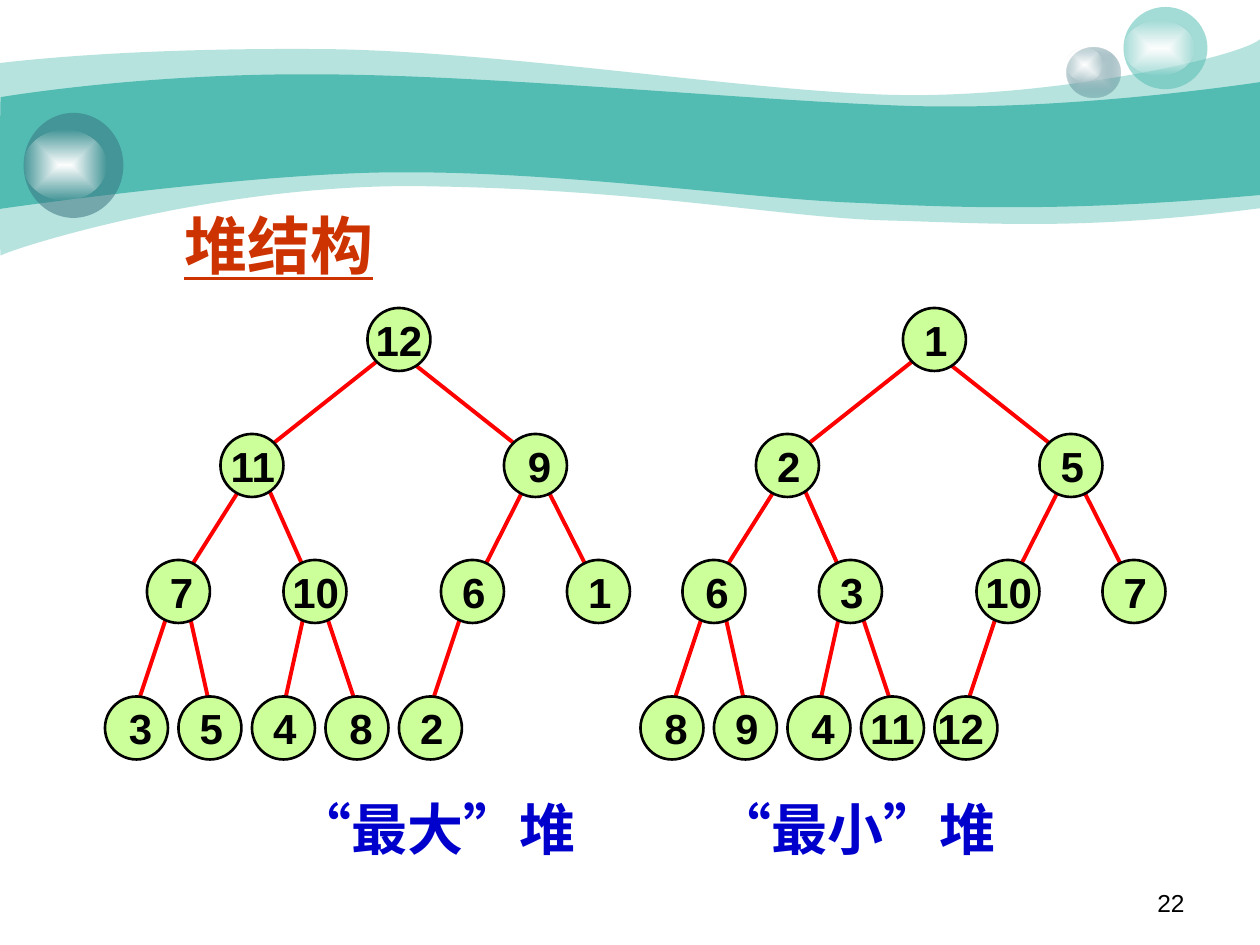
from dataclasses import dataclass

from lxml import etree
from pptx import Presentation
from pptx.dml.color import RGBColor
from pptx.enum import shapes, text
from pptx.oxml.ns import qn
from pptx.util import Emu, Pt

PX = 6350
CJK = "Noto Sans CJK SC"
NODE_SIZE = 72
LEVEL_TOPS = (352, 496, 640, 796)
NODES = (
    (420, 0), (252, 1), (576, 1),
    (168, 2), (324, 2), (504, 2), (648, 2),
    (120, 3), (204, 3), (288, 3), (372, 3), (456, 3),
)
EDGES = (
    (468, 412, 588, 507), (432, 412, 312, 507),
    (276, 556, 216, 651), (300, 543, 348, 651),
    (600, 556, 552, 651), (624, 556, 672, 651),
    (192, 700, 156, 808), (216, 700, 240, 808),
    (348, 700, 324, 808), (372, 700, 408, 808),
    (528, 700, 492, 808),
)


@dataclass(frozen=True)
class Tint:
    hue: str
    opacity: int = 100


@dataclass(frozen=True)
class Wave:
    start: tuple[int, int]
    segments: tuple[tuple[int, ...], ...]
    tint: Tint


@dataclass(frozen=True)
class Bubble:
    left: int
    top: int
    width: int
    height: int
    tints: tuple[Tint, ...]


@dataclass(frozen=True)
class Heap:
    left: int
    values: tuple[int, ...]
    label_shifts: tuple[int, ...]


@dataclass(frozen=True)
class Style:
    size: int
    hue: str
    font: str = "Arial"
    bold: bool = True
    underline: bool = False


LABEL = Style(24, "000000")
SHINE = (Tint("FFFFFF"), Tint("FFFFFF", 0))
WAVES = (
    Wave((0, 72), (
        (35, 68, 154, 55, 356, 56), (556, 56, 828, 101, 1007, 108),
        (1184, 115, 1411, 68, 1440, 45), (1440, 238),
        (1236, 264, 1133, 255, 1015, 252), (896, 249, 742, 217, 494, 213),
        (248, 207, 6, 287, 1, 292), (-1, 300, 0, 108, 0, 72),
    ), Tint("52BCB2", 41)),
    Wave((1, 111), (
        (3, 111, 158, 84, 357, 85), (556, 85, 857, 115, 1034, 121),
        (1211, 127, 1405, 99, 1440, 94), (1440, 223),
        (1228, 242, 1102, 238, 982, 232), (863, 228, 645, 196, 456, 197),
        (292, 197, -3, 239, -1, 239), (0, 239, 0, 111, 1, 111),
    ), Tint("52BCB2")),
)
BUBBLES = (
    Bubble(1219, 54, 61, 58, (Tint("CCDBDE"), Tint("37737F", 31))),
    Bubble(1219, 54, 41, 39, SHINE),
    Bubble(1284, 8, 96, 94, (Tint("52BCB2", 53),)),
    Bubble(1284, 24, 81, 62, SHINE),
    Bubble(27, 129, 114, 120, (Tint("37737F", 53),)),
    Bubble(27, 148, 95, 81, SHINE),
)
HEAPS = (
    Heap(0, (12, 11, 9, 7, 10, 6, 1, 3, 5, 4, 8, 2),
         (-5, -4, 13, 12, -4, 10, 10, 13, 10, 10, 13, 10)),
    Heap(612, (1, 2, 5, 6, 3, 10, 7, 8, 9, 4, 11, 12),
         (10, 10, 10, 12, 10, -4, 10, 13, 10, 13, -5, -11)),
)


def px(*lengths: int) -> list[Emu]:
    return [Emu(length * PX) for length in lengths]


def color(hue: str) -> RGBColor:
    return RGBColor.from_string(hue)


def paint(shape, tints: tuple[Tint, ...]) -> None:
    shape.shadow.inherit = False
    shape.line.fill.background()
    if len(tints) == 1:
        shape.fill.solid()
        shape.fill.fore_color.rgb = color(tints[0].hue)
    else:
        shape.fill.gradient()
        for stop, tint, position in zip(shape.fill.gradient_stops, tints, (0, 1)):
            stop.color.rgb = color(tint.hue)
            stop.position = position
        linear = next(shape._element.iter(qn("a:lin")))
        focus = etree.Element(qn("a:path"), {"path": "rect"})
        etree.SubElement(focus, qn("a:fillToRect"), dict.fromkeys("ltrb", "50000"))
        linear.getparent().replace(linear, focus)
    for node, tint in zip(shape._element.spPr.iter(qn("a:srgbClr")), tints):
        if tint.opacity < 100:
            etree.SubElement(node, qn("a:alpha"), val=str(tint.opacity * 1000))


def draw_wave(page, wave: Wave) -> None:
    ends = [segment[-2:] for segment in wave.segments]
    builder = page.shapes.build_freeform(*wave.start, scale=PX)
    builder.add_line_segments(ends, close=True)
    shape = builder.convert_to_shape()
    left, top = (min(values) for values in zip(wave.start, *ends))
    for line, segment in zip(list(shape._element.iter(qn("a:lnTo"))), wave.segments):
        if len(segment) == 6:
            curve = etree.Element(qn("a:cubicBezTo"))
            for x, y in zip(segment[::2], segment[1::2]):
                etree.SubElement(curve, qn("a:pt"), x=str(x - left), y=str(y - top))
            line.getparent().replace(line, curve)
    paint(shape, (wave.tint,))


def draw_oval(page, left: int, top: int, width: int, height: int, tints: tuple[Tint, ...]):
    oval = page.shapes.add_shape(shapes.MSO_SHAPE.OVAL, *px(left, top, width, height))
    paint(oval, tints)
    return oval


def write(para, words: str, style: Style) -> None:
    span = para.add_run()
    span.text = words
    span.font.size = Pt(style.size)
    span.font.name = style.font
    span.font.bold = style.bold
    span.font.underline = style.underline
    span.font.color.rgb = color(style.hue)
    if style.font == CJK:
        etree.SubElement(span._r.get_or_add_rPr(), qn("a:ea"), typeface=CJK)


def add_text(page, left: int, top: int, width: int, height: int, align, wrap: bool = True):
    box = page.shapes.add_textbox(*px(left, top, width, height))
    box.text_frame.word_wrap = wrap
    para = box.text_frame.paragraphs[0]
    para.alignment = align
    return box, para


def draw_heap(page, heap: Heap) -> None:
    for x1, y1, x2, y2 in EDGES:
        edge = page.shapes.add_connector(
            shapes.MSO_CONNECTOR.STRAIGHT, *px(heap.left + x1, y1, heap.left + x2, y2))
        edge.line.color.rgb = color("FF0000")
        edge.line.width = Pt(2.25)
        etree.SubElement(edge._element.spPr, qn("a:effectLst"))
    for (x, level), value, shift in zip(NODES, heap.values, heap.label_shifts):
        left, top = heap.left + x, LEVEL_TOPS[level]
        node = draw_oval(page, left, top, NODE_SIZE, NODE_SIZE, (Tint("CCFF99"),))
        node.line.color.rgb = color("000000")
        node.line.width = Pt(1.5)
        width = 82 if value > 9 else 54
        box, para = add_text(page, left + shift, top, width, NODE_SIZE,
                             text.PP_ALIGN.CENTER, wrap=False)
        box.text_frame.auto_size = text.MSO_AUTO_SIZE.SHAPE_TO_FIT_TEXT
        write(para, str(value), LABEL)


def place_title(page) -> None:
    title = page.shapes.title
    title.left, title.top, title.width, title.height = px(120, 219, 397, 120)
    title.text_frame.vertical_anchor = text.MSO_ANCHOR.MIDDLE
    para = title.text_frame.paragraphs[0]
    para.alignment = text.PP_ALIGN.CENTER
    write(para, "堆结构", Style(36, "CC3300", underline=True))
    page.shapes._spTree.append(title._element)


def add_caption(page) -> None:
    box, para = add_text(page, 151, 891, 1156, 104, text.PP_ALIGN.LEFT)
    frame = box.text_frame
    frame.margin_left, frame.margin_top, frame.margin_right, frame.margin_bottom = px(17, 9, 17, 9)
    stops = etree.SubElement(para._p.get_or_add_pPr(), qn("a:tabLst"))
    for position in px(170, 650):
        etree.SubElement(stops, qn("a:tab"), pos=str(position), algn="l")
    write(para, "\t", Style(36, "CC0000", CJK))
    write(para, "“最大”堆\t“最小”堆", Style(32, "0000CC", CJK))


def main() -> None:
    deck = Presentation()
    deck.slide_width, deck.slide_height = px(1440, 1080)
    page = deck.slides.add_slide(deck.slide_layouts[5])
    for wave in WAVES:
        draw_wave(page, wave)
    for bubble in BUBBLES:
        draw_oval(page, bubble.left, bubble.top, bubble.width, bubble.height, bubble.tints)
    number = add_text(page, 1032, 1008, 336, 50, text.PP_ALIGN.RIGHT)[1]
    write(number, "22", Style(14, "000000", bold=False))
    place_title(page)
    add_caption(page)
    for heap in HEAPS:
        draw_heap(page, heap)
    deck.save("out.pptx")


if __name__ == "__main__":
    main()
